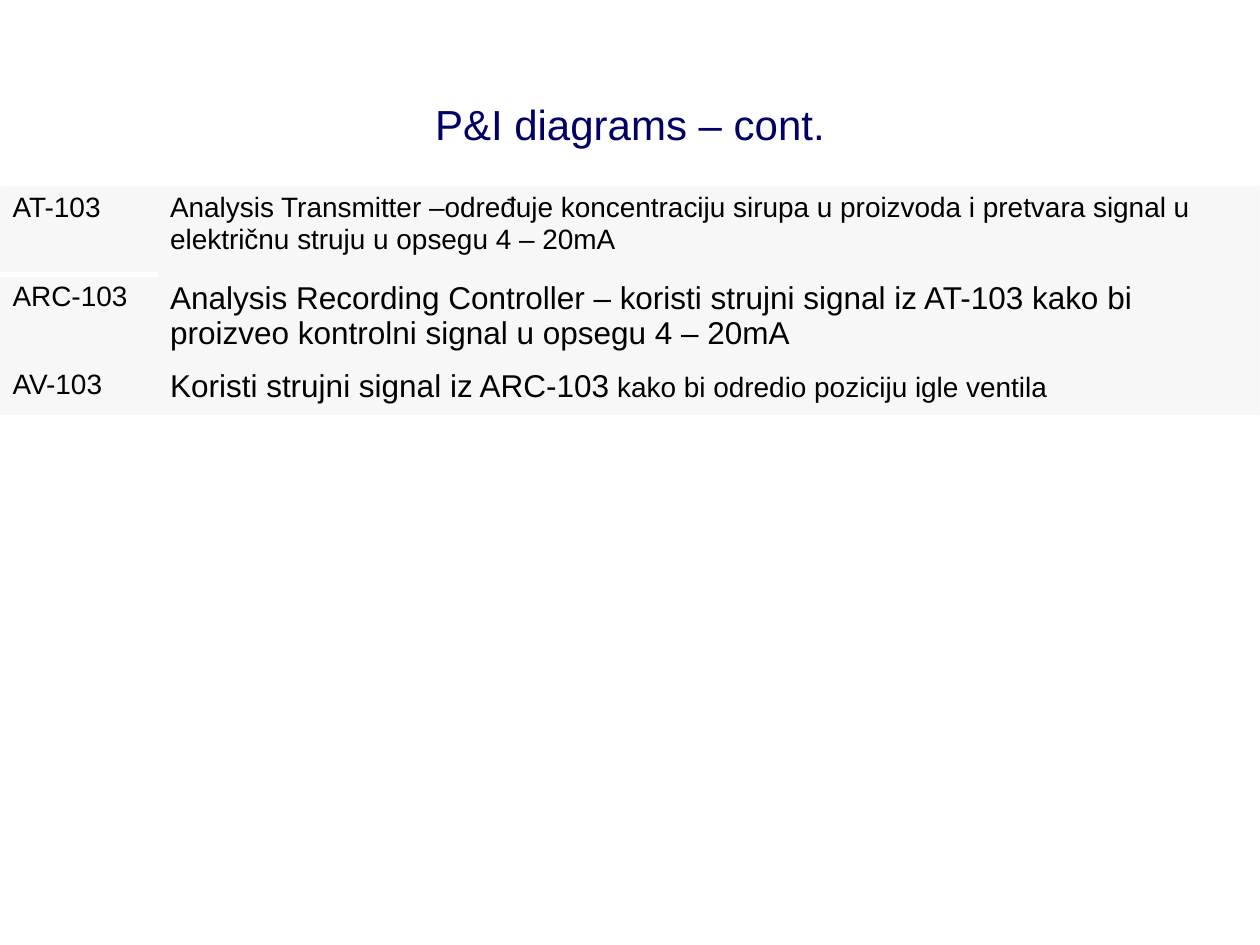
"""Build the P&I diagrams slide with its table of instrument tags."""
import pptx
import pptx.util
import pptx.dml.color
import pptx.enum.text
from lxml import etree

COLORS = {"title": "000066", "text": "000000", "cell": "F7F7F7", "edge": "F9F9F9", "rule": "FFFFFF"}
FONT = "Arial"
TITLE = "P&I diagrams – cont."
ROWS = [
    ([("AT-103", 16)],
     [("Analysis Transmitter –određuje koncentraciju sirupa u proizvoda i pretvara signal u "
       "električnu struju u opsegu 4 – 20mA", 16)]),
    ([("ARC-103", 16)],
     [("Analysis Recording Controller – koristi strujni signal iz AT-103 kako bi "
       "proizveo kontrolni signal u opsegu 4 – 20mA", 18)]),
    ([("AV-103", 16)],
     [("Koristi strujni signal iz ARC-103", 18), (" kako bi odredio poziciju igle ventila", 16)]),
]
WIDTH, HEIGHT = 10, 7.5
COL_SHARES = [0.125, 0.875]
ROW_HEIGHTS = [0.7, 0.7, 0.41]
TABLE_TOP = 1.48
NS = "http://schemas.openxmlformats.org/drawingml/2006/main"
NO_STYLE = "{2D5ABB26-0587-4C30-8999-92F81FD0307C}"


def rgb(name):
    return pptx.dml.color.RGBColor.from_string(COLORS[name])


def add_run(p, text, size, color):
    r = p.add_run()
    r.text = text
    r.font.name = FONT
    r.font.size = pptx.util.Pt(size)
    r.font.color.rgb = rgb(color)


def set_borders(cell, borders):
    tc_pr = cell._tc.get_or_add_tcPr()
    for i, (side, color, points) in enumerate(borders):
        ln = etree.Element(f"{{{NS}}}ln{side}", w=str(pptx.util.Pt(points)))
        fill = etree.SubElement(ln, f"{{{NS}}}solidFill")
        etree.SubElement(fill, f"{{{NS}}}srgbClr", val=COLORS[color])
        tc_pr.insert(i, ln)


def cell_borders(row, col):
    borders = [("LR"[col], "edge", 0.75)]
    if row == 0:
        borders.append(("T", "edge", 0.75))
    if row == len(ROWS) - 1:
        borders.append(("B", "edge", 0.75))
    if (row, col) == (0, 0):
        borders.append(("B", "rule", 3))
    return borders


def add_title(s):
    sp = s.shapes.title
    sp.left, sp.top, sp.width, sp.height = map(pptx.util.Inches, (0.35, 0.71, 9.3, 0.55))
    tf = sp.text_frame
    tf.word_wrap = True
    tf.vertical_anchor = pptx.enum.text.MSO_ANCHOR.MIDDLE
    p = tf.paragraphs[0]
    p.alignment = pptx.enum.text.PP_ALIGN.CENTER
    add_run(p, TITLE, 24, "title")


def add_tags(s):
    box = map(pptx.util.Inches, (0, TABLE_TOP, WIDTH, sum(ROW_HEIGHTS)))
    table = s.shapes.add_table(len(ROWS), len(COL_SHARES), *box).table
    table.first_row = table.horz_banding = False
    table._tbl.tblPr.find(f"{{{NS}}}tableStyleId").text = NO_STYLE
    for column, share in zip(table.columns, COL_SHARES):
        column.width = pptx.util.Inches(share * WIDTH)
    for i, (row, height) in enumerate(zip(ROWS, ROW_HEIGHTS)):
        table.rows[i].height = pptx.util.Inches(height)
        for j, runs in enumerate(row):
            cell = table.cell(i, j)
            cell.fill.solid()
            cell.fill.fore_color.rgb = rgb("cell")
            set_borders(cell, cell_borders(i, j))
            for text, size in runs:
                add_run(cell.text_frame.paragraphs[0], text, size, "text")


def main():
    prs = pptx.Presentation()
    prs.slide_width, prs.slide_height = pptx.util.Inches(WIDTH), pptx.util.Inches(HEIGHT)
    s = prs.slides.add_slide(prs.slide_layouts[5])
    add_title(s)
    add_tags(s)
    prs.save("out.pptx")


if __name__ == "__main__":
    main()
